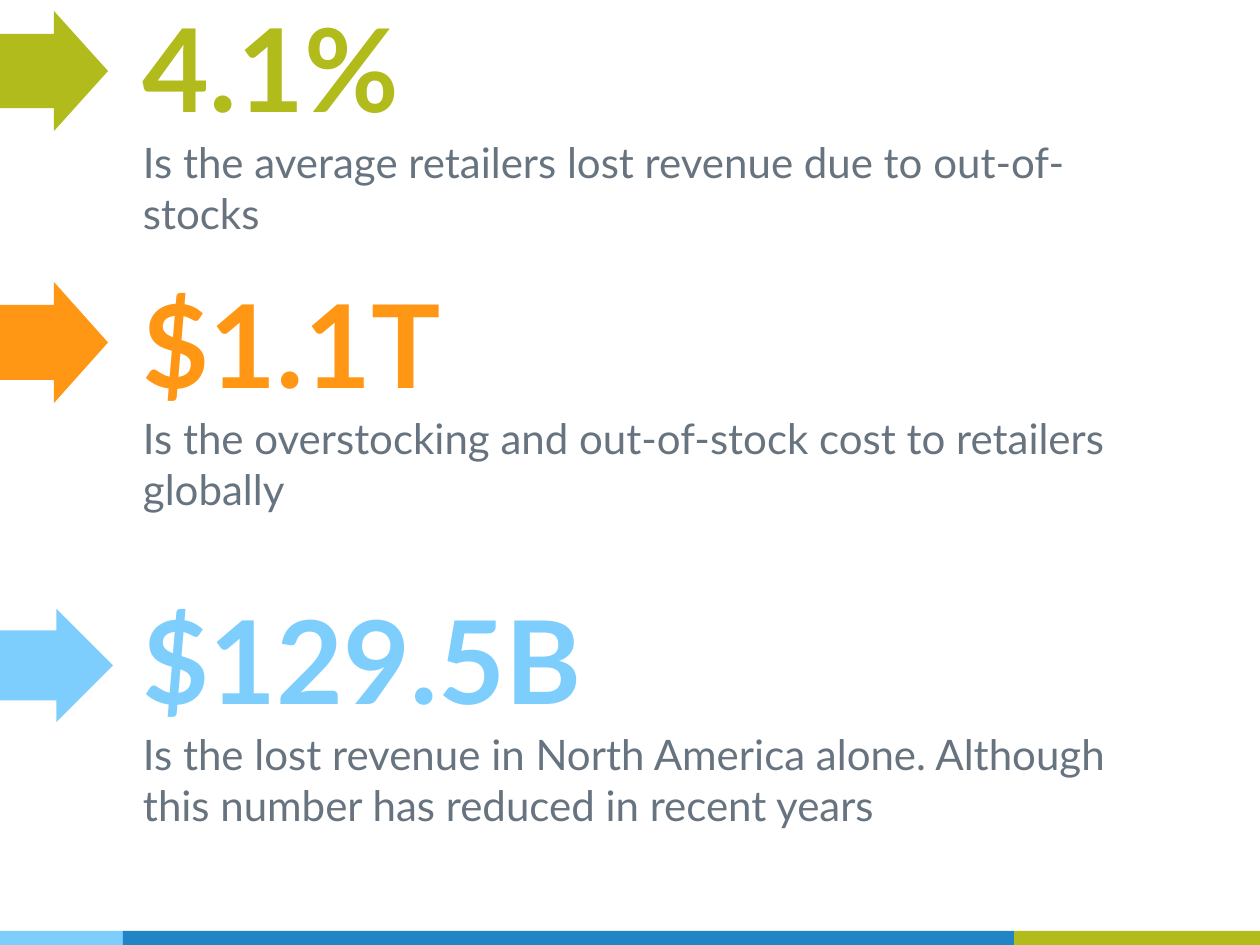
"""Build a slide of three retail loss figures with arrows and a footer band."""
from pptx import Presentation
from pptx.dml.color import RGBColor
from pptx.enum.shapes import MSO_SHAPE
from pptx.enum.text import MSO_ANCHOR
from pptx.util import Pt

RECTANGLE, RIGHT_ARROW = MSO_SHAPE.RECTANGLE, MSO_SHAPE.RIGHT_ARROW
TOP, BOTTOM = MSO_ANCHOR.TOP, MSO_ANCHOR.BOTTOM

GREEN = RGBColor(0xB1, 0xBB, 0x1C)
ORANGE = RGBColor(0xFF, 0x97, 0x15)
SKY = RGBColor(0x7E, 0xCE, 0xFD)
BLUE = RGBColor(0x21, 0x85, 0xC5)
GRAY = RGBColor(0x67, 0x74, 0x80)

EMU_PER_PX = 914400 // 126
SLIDE_WIDTH, SLIDE_HEIGHT = 1260, 945
TEXT_LEFT, TEXT_WIDTH, INSET = 130, 1036, 13
FIGURE_HEIGHT, CAPTION_OFFSET, CAPTION_HEIGHT = 165, 140, 86
BAND_TOP, BAND_HEIGHT = 931, 14

# figure, caption, colour, figure top, arrow (top, width, height)
STATISTICS = [
    ("4.1%", "Is the average retailers lost revenue due to out-of-stocks",
     GREEN, -16, (11, 108, 120)),
    ("$1.1T", "Is the overstocking and out-of-stock cost to retailers globally",
     ORANGE, 260, (282, 108, 121)),
    ("$129.5B", "Is the lost revenue in North America alone. "
     "Although this number has reduced in recent years",
     SKY, 576, (609, 113, 113)),
]
BAND = [(SKY, 123), (BLUE, 891), (GREEN, 123), (GREEN, 123)]


def px(*lengths):
    return [length * EMU_PER_PX for length in lengths]


def add_block(slide, kind, box, color):
    shape = slide.shapes.add_shape(kind, *px(*box))
    shape.shadow.inherit = False
    shape.fill.solid()
    shape.fill.fore_color.rgb = color
    shape.line.fill.background()
    return shape


def add_text(slide, text, top, height, *, size, color, bold=False, anchor=TOP):
    box = slide.shapes.add_textbox(*px(TEXT_LEFT, top, TEXT_WIDTH, height))
    frame = box.text_frame
    frame.word_wrap = True
    frame.vertical_anchor = anchor
    inset, = px(INSET)
    frame.margin_left = frame.margin_right = inset
    frame.margin_top = frame.margin_bottom = inset
    run = frame.paragraphs[0].add_run()
    run.text = text
    run.font.name = "Lato"
    run.font.size = Pt(size)
    run.font.bold = bold
    run.font.color.rgb = color


def main():
    presentation = Presentation()
    presentation.slide_width, presentation.slide_height = px(SLIDE_WIDTH, SLIDE_HEIGHT)
    slide = presentation.slides.add_slide(presentation.slide_layouts[6])

    left = 0
    for color, width in BAND:
        add_block(slide, RECTANGLE, (left, BAND_TOP, width, BAND_HEIGHT), color)
        left += width

    for figure, caption, color, top, (arrow_top, width, height) in STATISTICS:
        add_text(slide, figure, top, FIGURE_HEIGHT,
                 size=66, color=color, bold=True, anchor=BOTTOM)
        add_text(slide, caption, top + CAPTION_OFFSET, CAPTION_HEIGHT,
                 size=24, color=GRAY)
        arrow = add_block(slide, RIGHT_ARROW, (0, arrow_top, width, height), color)
        arrow.adjustments[0] = 0.62
        arrow.adjustments[1] = 0.5

    presentation.save("out.pptx")


if __name__ == "__main__":
    main()
